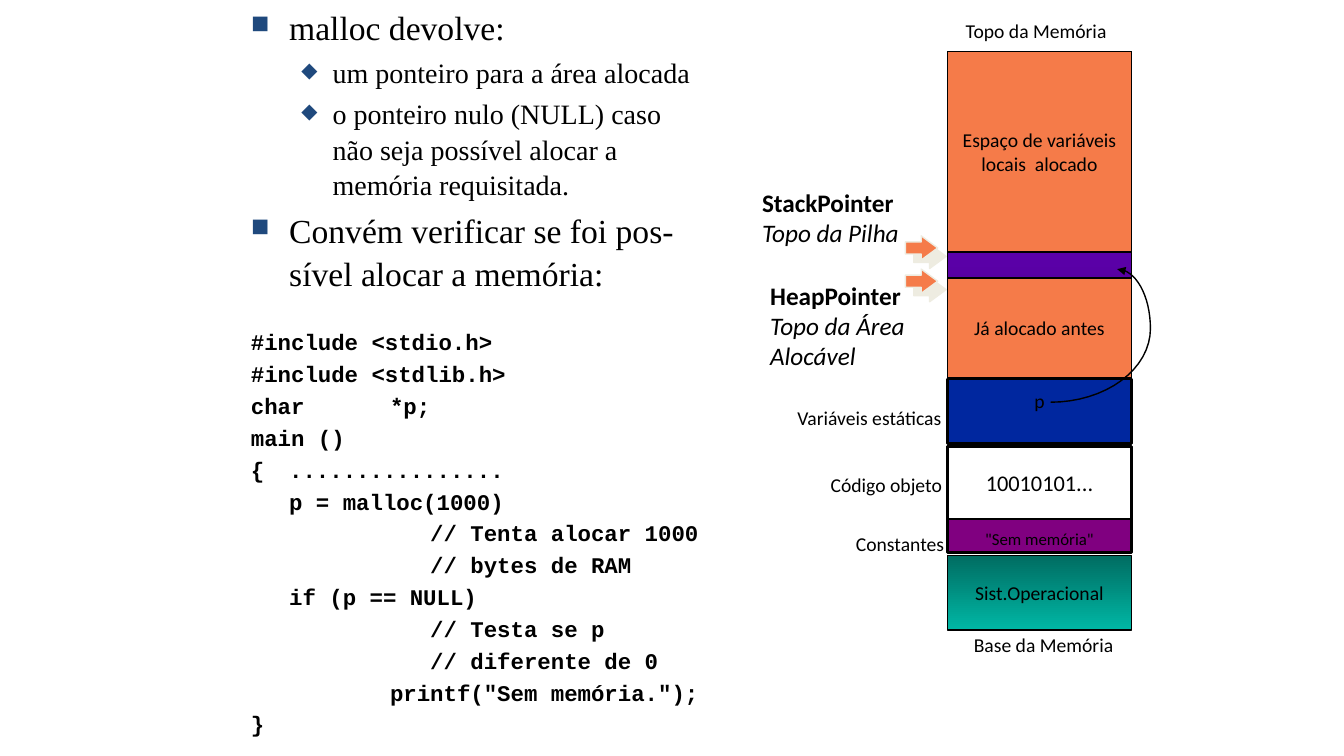
from dataclasses import dataclass
from math import cos, pi, sin

from lxml.etree import SubElement
from pptx import Presentation
from pptx.dml.color import RGBColor
from pptx.enum.shapes import MSO_SHAPE
from pptx.enum.text import MSO_ANCHOR, PP_ALIGN
from pptx.oxml.ns import qn
from pptx.util import Inches, Pt


@dataclass(frozen=True)
class Theme:
    black: str = "000000"
    white: str = "FFFFFF"
    orange: str = "F57B49"
    blue: str = "00279F"
    purple: str = "800080"
    teal: tuple = ("006C61", "00B7A5")
    violet: tuple = ("7B00E4", "490087")
    cream: str = "EEECE1"
    navy: str = "1F497D"
    sans: str = "Calibri"
    serif: str = "Times New Roman"
    mono: str = "Courier New"
    head: int = 24
    sub: int = 20
    mark: int = 18
    code: int = 16
    label: int = 14
    small: int = 12


T = Theme()

POINTS = [
    (0, "malloc devolve:"),
    (1, "um ponteiro para a área alocada"),
    (1, "o ponteiro nulo (NULL) caso não seja possível alocar a memória requisitada."),
    (0, "Convém verificar se foi pos-sível alocar a memória:"),
]
CODE = """#include <stdio.h>
#include <stdlib.h>
char \t*p;
main ()
{\t................
\tp = malloc(1000)
\t\t   // Tenta alocar 1000
\t\t   // bytes de RAM
\tif (p == NULL)
\t\t   // Testa se p
\t\t   // diferente de 0
\t\tprintf("Sem memória.");
}""".split("\n")

# Top offset, height, fill, line width, text, text size, text shift
CELLS = [
    (5.00, 0.74, T.teal, 1, "Sist.Operacional", T.label, 0),
    (4.50, 0.47, T.purple, 2, '"Sem memória"', T.small, 0.2),
    (3.92, 0.72, T.white, 2, "10010101...", T.code, 0),
    (0, 3.24, T.violet, 1, "", T.label, 0),
    (3.25, 0.64, T.blue, 2, "p", T.label, -0.2),
    (2.25, 0.99, T.orange, 1, "Já alocado antes", T.label, 0),
    (0, 1.99, T.orange, 1, "Espaço de variáveis\nlocais  alocado", T.label, 0),
]
# Offsets from the tower's corner, width, text
LABELS = [
    (0.08, -0.37, 1.6, "Topo da Memória"),
    (0.16, 5.72, 1.6, "Base da Memória"),
    (-1.59, 3.47, 1.77, "Variáveis estáticas"),
    (-1.26, 4.13, 1.77, "Código objeto"),
    (-1.01, 4.72, 1.77, "Constantes"),
]
MARKS = [
    (-1.86, 2.22, 1.57, "HeapPointer\nTopo da Área\nAlocável"),
    (-1.94, 1.30, 1.63, "StackPointer\nTopo da Pilha"),
]


def rgb(tone):
    return RGBColor.from_string(tone)


def style(part, face, size, bold=False, slant=False):
    for run in part.runs:
        font = run.font
        font.name, font.size = face, Pt(size)
        font.bold, font.italic = bold, slant
        font.color.rgb = rgb(T.black)


def indent(part, left, hang):
    props = part._p.get_or_add_pPr()
    props.set("marL", str(Inches(left)))
    props.set("indent", str(-Inches(hang)))
    props.set("defTabSz", str(Inches(1)))
    return props


def bullet(props, sign):
    tint = SubElement(props, qn("a:buClr"))
    SubElement(tint, qn("a:srgbClr"), val=T.navy)
    SubElement(props, qn("a:buSzPct"), val="75000")
    SubElement(props, qn("a:buChar"), char=sign)


def paint(shape, fill, edge, width):
    shape.shadow.inherit = False
    if isinstance(fill, tuple):
        shape.fill.gradient()
        shape.fill.gradient_angle = 270
        for stop, tone in zip(shape.fill.gradient_stops, fill):
            stop.color.rgb = rgb(tone)
    else:
        shape.fill.solid()
        shape.fill.fore_color.rgb = rgb(fill)
    shape.line.color.rgb = rgb(edge)
    shape.line.width = Pt(width)


def notes(slide, *box):
    """Place the bullet points and the code listing in one text box."""
    frame = slide.shapes.add_textbox(*map(Inches, box)).text_frame
    frame.word_wrap = True
    frame.text = "\n".join([text for _, text in POINTS] + CODE)
    parts = frame.paragraphs
    count = len(POINTS)
    for part in parts:
        part.line_spacing = 1.06
    for i, (part, (level, _)) in enumerate(zip(parts, POINTS)):
        size = (T.head, T.sub)[level]
        part.level = level
        part.space_before = Pt(0.2 * size if i else 0)
        props = indent(part, *((0.38, 0.38), (0.81, 0.31))[level])
        bullet(props, "■◆"[level])
        style(part, T.serif, size)
    for part in parts[count:]:
        part.space_before = Pt(0.15 * T.code)
        indent(part, 0.38, 0.38)
        style(part, T.mono, T.code, bold=True)
    parts[count].space_before = Pt(24)


def cell(slide, left, top, width, height, fill, line, text, size, shift):
    shape = slide.shapes.add_shape(
        MSO_SHAPE.RECTANGLE, *map(Inches, (left, top, width, height)))
    paint(shape, fill, T.black, line)
    frame = shape.text_frame
    frame.word_wrap = False
    frame.vertical_anchor = MSO_ANCHOR.MIDDLE
    frame.margin_top = Inches(0.05 + max(shift, 0))
    frame.margin_bottom = Inches(0.05 + max(-shift, 0))
    frame.text = text
    for part in frame.paragraphs:
        part.alignment = PP_ALIGN.CENTER
        style(part, T.sans, size)


def label(slide, left, top, width, text, mark=False):
    """Place a plain label, or a marker with a bold name over italic lines."""
    lines = text.count("\n") + 1
    size = T.mark if mark else T.label
    box = (left, top, width, 0.1 + lines * (0.3 if mark else 0.23))
    frame = slide.shapes.add_textbox(*map(Inches, box)).text_frame
    frame.word_wrap = not mark
    frame.text = text
    for i, part in enumerate(frame.paragraphs):
        style(part, T.sans, size, mark and i == 0, mark and i > 0)


def arrow(slide, left, top):
    shape = slide.shapes.add_shape(
        MSO_SHAPE.RIGHT_ARROW, *map(Inches, (left, top, 0.32, 0.24)))
    shape.adjustments[0], shape.adjustments[1] = 0.5, 0.68
    paint(shape, T.orange, T.cream, 1)
    list_ = shape._element.spPr.find(qn("a:effectLst"))
    cast = SubElement(list_, qn("a:outerShdw"), dist=str(Pt(8.5)),
                      dir="2700000", algn="ctr", rotWithShape="0")
    SubElement(cast, qn("a:srgbClr"), val=T.cream)


def curve(slide, left, top):
    """Draw the arrow from p to the new block as two quarter ellipses."""
    steps = 16
    arcs = [(1.02, 0.99, 0.73, pi / 2), (1.68, 0.33, 0.59, 0)]
    spots = [
        (Inches(left + mid + wide * cos(start - pi / 2 * i / steps)),
         Inches(top + 2.75 + high * sin(start - pi / 2 * i / steps)))
        for mid, wide, high, start in arcs for i in range(steps + 1)]
    path = slide.shapes.build_freeform(*spots[0])
    path.add_line_segments(spots[1:], close=False)
    shape = path.convert_to_shape()
    paint(shape, T.white, T.black, 1)
    shape.fill.background()
    SubElement(shape.line._get_or_add_ln(), qn("a:tailEnd"), type="triangle")


def memory(slide, left, top, width):
    """Place the memory tower with its labels and pointers."""
    for down, height, *rest in CELLS:
        cell(slide, left, top + down, width, height, *rest)
    for down in (1.83, 2.16):
        arrow(slide, left - 0.42, top + down)
    for right, down, wide, text in LABELS:
        label(slide, left + right, top + down, wide, text)
    for right, down, wide, text in MARKS:
        label(slide, left + right, top + down, wide, text, mark=True)
    curve(slide, left, top)


def main():
    deck = Presentation()
    deck.slide_width, deck.slide_height = Inches(13.33), Inches(7.5)
    slide = deck.slides.add_slide(deck.slide_layouts[6])
    notes(slide, 2.39, 0, 4.69, 7.08)
    memory(slide, 9.4, 0.51, 1.82)
    deck.save("out.pptx")


if __name__ == "__main__":
    main()
